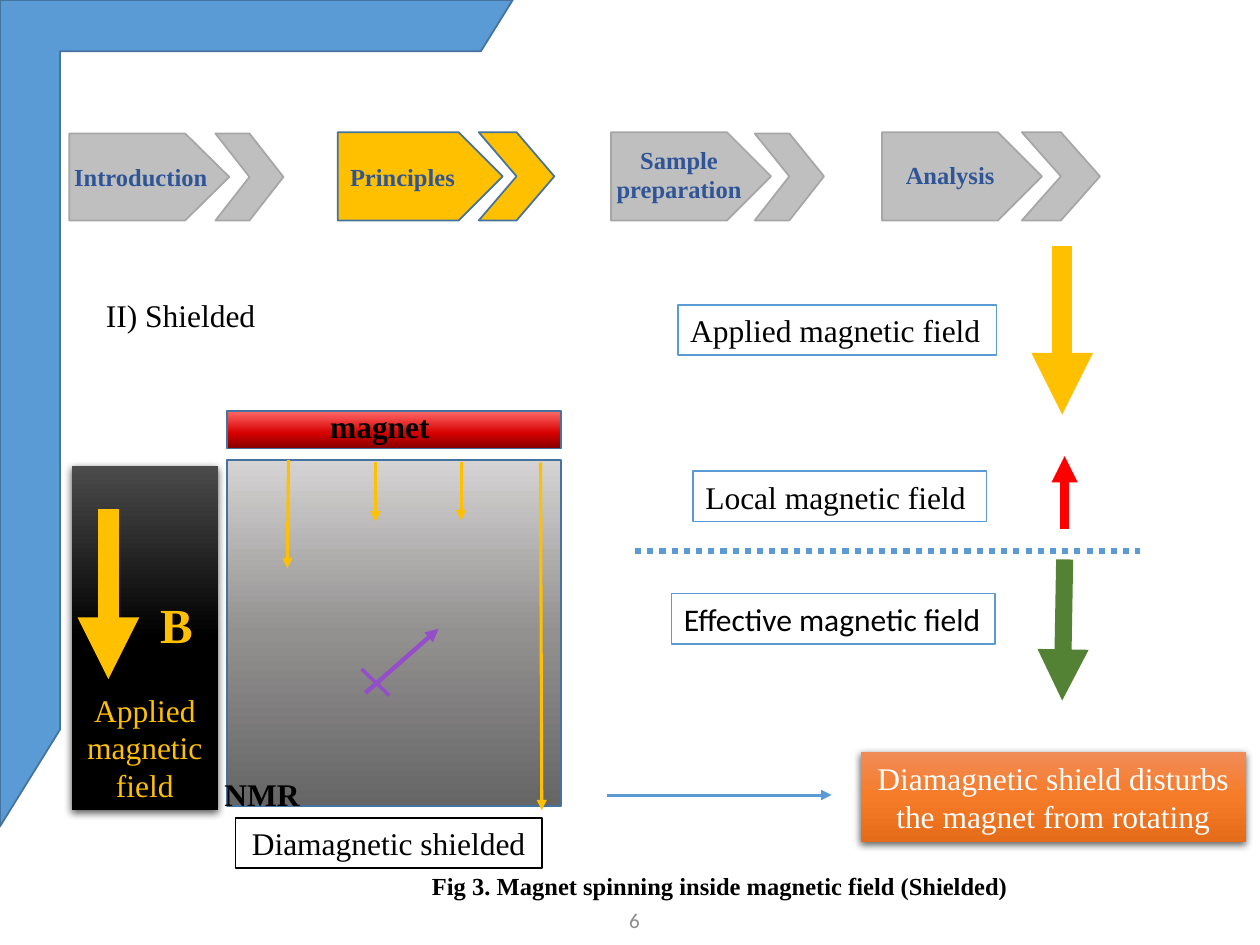
from dataclasses import dataclass

from lxml import etree
from pptx import Presentation
from pptx import util as u
from pptx.dml.color import RGBColor
from pptx.enum import dml, shapes, text
from pptx.oxml.ns import qn

GEOM = shapes.MSO_SHAPE
CENTER, LEFT = text.PP_ALIGN.CENTER, text.PP_ALIGN.LEFT


@dataclass(frozen=True)
class Theme:
    serif: str = "Times New Roman"
    sans: str = "Calibri"
    blue: str = "5B9BD5"
    outline: str = "43739E"
    navy: str = "2F5597"
    gold: str = "FFC000"
    purple: str = "954ECA"
    red: str = "FF0000"
    green: str = "548235"
    black: str = "000000"
    white: str = "FFFFFF"
    step: str = "BFBFBF"
    step_edge: str = "A6A6A6"
    page: str = "8C8C8C"
    magnet: tuple = ((0, "860000"), (41, "D70000"), (100, "FF6B6B"))
    sample: tuple = ((0, "656565"), (50, "939090"), (100, "D5D3D3"))
    night: tuple = ((0, "4B4B4B"), (50, "000000"), (100, "000000"))
    orange: tuple = ((0, "F18C57"), (50, "F67B28"), (100, "E56C19"))
    small: int = 12
    label: int = 14
    body: int = 18
    big: int = 28


def rgb(code):
    return RGBColor.from_string(code)


def add_xml(parent, tag, **attributes):
    return etree.SubElement(parent, qn(tag), attributes)


class SlideBuilder:
    def __init__(self, slide, theme):
        self.slide, self.theme = slide, theme

    def paint(self, shape, fill, line=None, angle=90):
        """Fill with a colour, or with gradient stops running clockwise by angle."""
        shape.shadow.inherit = False
        if isinstance(fill, str):
            shape.fill.solid()
            shape.fill.fore_color.rgb = rgb(fill)
        else:
            shape.fill.gradient()
            shape.fill.gradient_angle = 360 - angle
            stops = shape._element.spPr.find(qn("a:gradFill")).find(qn("a:gsLst"))
            for stop in list(stops):
                stops.remove(stop)
            for position, color in fill:
                stop = add_xml(stops, "a:gs", pos=str(position * 1000))
                add_xml(stop, "a:srgbClr", val=color)
        if line:
            shape.line.color.rgb = rgb(line)
            shape.line.width = u.Pt(1)
        else:
            shape.line.fill.background()

    def cast_shadow(self, shape):
        effects = shape._element.spPr.find(qn("a:effectLst"))
        shadow = add_xml(effects, "a:outerShdw", blurRad=str(u.Pt(4.5)), dist=str(u.Pt(1.5)),
                         dir="5400000", algn="ctr", rotWithShape="0")
        add_xml(add_xml(shadow, "a:srgbClr", val=self.theme.black), "a:alpha", val="63000")

    def shape(self, box, fill, line=None, geometry=GEOM.RECTANGLE, adjust=(), angle=90):
        shape = self.slide.shapes.add_shape(geometry, *map(u.Inches, box))
        for index, value in enumerate(adjust):
            shape.adjustments[index] = value
        self.paint(shape, fill, line, angle)
        return shape

    def frame(self, shape, align, anchor=text.MSO_ANCHOR.MIDDLE):
        """Set margins and return the text frame."""
        frame = shape.text_frame
        frame.word_wrap = True
        frame.auto_size = text.MSO_AUTO_SIZE.NONE
        frame.vertical_anchor = anchor
        frame.margin_left = u.Inches(0.1 if align == LEFT else 0.05)
        frame.margin_right = frame.margin_top = frame.margin_bottom = u.Inches(0.05)
        return frame

    def run(self, paragraph, words, size, color, bold=False, font=None, align=CENTER):
        paragraph.alignment = align
        run = paragraph.add_run()
        run.text = words
        run.font.name = font or self.theme.serif
        run.font.size = u.Pt(size)
        run.font.bold = bold
        run.font.color.rgb = rgb(color)

    def set_words(self, shape, words, size, color, bold=False, font=None, align=CENTER):
        paragraph = self.frame(shape, align).paragraphs[0]
        self.run(paragraph, words, size, color, bold, font, align)

    def label(self, box, words, size, color, **style):
        self.set_words(self.slide.shapes.add_textbox(*map(u.Inches, box)),
                       words, size, color, **style)

    def title(self, box, words):
        title = self.slide.shapes.title
        title.left, title.top, title.width, title.height = map(u.Inches, box)
        self.set_words(title, words, self.theme.body, self.theme.black, align=LEFT)

    def boxed(self, box, words, edge, **style):
        self.set_words(self.shape(box, self.theme.white, edge), words,
                       self.theme.body, self.theme.black, **style)

    def line(self, start, end, color, width, arrow=True, dash=None):
        line = self.slide.shapes.add_connector(
            shapes.MSO_CONNECTOR.STRAIGHT, *map(u.Inches, (*start, *end)))
        line.line.color.rgb = rgb(color)
        line.line.width = u.Pt(width)
        if dash:
            line.line.dash_style = dash
        properties = line._element.spPr
        if arrow:
            add_xml(properties.find(qn("a:ln")), "a:tailEnd", type="triangle")
        add_xml(properties, "a:effectLst")

    def steps(self, starts, bottom):
        """Draw the inactive steps as one outline; starts gives plate left, chevron
        left, chevron width, plate top and chevron top."""
        contours = []
        for plate, chevron, width, plate_top, chevron_top in starts:
            half, shoulder, tip = width / 2, plate + 0.92, plate + 1.27
            middle = (plate_top + bottom) / 2
            contours.append([(plate, plate_top), (shoulder, plate_top), (tip, middle),
                             (shoulder, bottom), (plate, bottom)])
            contours.append([(chevron, chevron_top), (chevron + half, chevron_top),
                             (chevron + width, middle), (chevron + half, bottom),
                             (chevron, bottom), (chevron + half, middle)])
        contours = [[(u.Inches(x), u.Inches(y)) for x, y in points] for points in contours]
        builder = self.slide.shapes.build_freeform(*contours[0][0])
        for index, points in enumerate(contours):
            if index:
                builder.move_to(*points[0])
            builder.add_line_segments(points[1:], close=True)
        self.paint(builder.convert_to_shape(), self.theme.step, self.theme.step_edge)


def main():
    deck = Presentation()
    deck.slide_width, deck.slide_height = u.Inches(10), u.Inches(7.5)
    t = Theme()
    s = SlideBuilder(deck.slides.add_slide(deck.slide_layouts[5]), t)

    # Progress bar
    s.steps([(0.55, 1.71, 0.54, 1.06, 1.06), (4.85, 5.99, 0.55, 1.05, 1.06),
             (7, 8.11, 0.62, 1.05, 1.05)], bottom=1.75)
    s.shape((2.68, 1.05, 1.31, 0.7), t.gold, t.outline, GEOM.PENTAGON)
    s.shape((3.8, 1.05, 0.6, 0.7), t.gold, t.outline, GEOM.CHEVRON)
    s.shape((0, 0, 4.07, 6.56), t.blue, t.outline, GEOM.HALF_FRAME, (0.1, 0.117))
    for box, name, align in [((0.49, 1.23, 1.26, 0.34), "Introduction", LEFT),
                             ((2.64, 1.23, 1.11, 0.34), "Principles", CENTER),
                             ((4.79, 1.1, 1.2, 0.57), "Sample preparation", CENTER),
                             ((7.09, 1.22, 1.15, 0.34), "Analysis", LEFT)]:
        s.label(box, name, t.label, t.navy, bold=True, align=align)
    s.title((0.74, 2.3, 2.92, 0.4), "II) Shielded")
    s.label((3.91, 7.1, 2.25, 0.4), "6", t.small, t.page, font=t.sans)

    # Magnet above the sample
    s.shape((1.8, 3.26, 2.65, 0.3), t.magnet, t.outline, angle=270)
    s.shape((1.8, 3.65, 2.65, 2.75), t.sample, t.outline, angle=270)
    s.label((2.34, 3.18, 1.35, 0.4), "magnet", t.body, t.black, bold=True)
    s.line((2.9, 5.5), (3.48, 4.99), t.purple, 2.5)
    s.line((2.87, 5.31), (3.09, 5.52), t.purple, 2, arrow=False)
    for start, end in [((2.29, 3.65), (2.28, 4.51)), ((2.98, 3.67), (2.98, 4.14)),
                       ((3.66, 3.67), (3.66, 4.13)), ((4.29, 3.67), (4.3, 6.43))]:
        s.line(start, end, t.gold, 1.75)
    s.label((1.68, 6.1, 0.8, 0.4), "NMR", t.body, t.black, bold=True)
    s.boxed((1.87, 6.49, 2.43, 0.4), "Diamagnetic shielded", t.black)

    # Conclusion and caption
    s.line((4.82, 6.31), (6.6, 6.31), t.blue, 1.75)
    conclusion = s.shape((6.83, 5.97, 3.06, 0.71), t.orange)
    s.cast_shadow(conclusion)
    s.set_words(conclusion, "Diamagnetic shield disturbs the magnet from rotating",
                t.body, t.white)
    s.label((3.33, 6.86, 5.01, 0.34), "Fig 3. Magnet spinning inside magnetic field (Shielded)",
            t.label, t.black, bold=True, align=LEFT)

    # Sum of the fields
    s.boxed((5.38, 2.42, 2.53, 0.4), "Applied magnetic field", t.blue, align=LEFT)
    s.boxed((5.5, 3.74, 2.33, 0.4), "Local magnetic field", t.blue, align=LEFT)
    s.boxed((5.33, 4.71, 2.57, 0.4), "Effective magnetic field", t.blue, align=LEFT, font=t.sans)
    s.line((8.43, 1.95), (8.43, 3.29), t.gold, 11.75)
    s.line((8.45, 4.2), (8.45, 3.62), t.red, 5)
    s.line((5.04, 4.37), (9.05, 4.37), t.blue, 3.5, arrow=False, dash=dml.MSO_LINE.ROUND_DOT)
    s.line((8.45, 4.44), (8.43, 5.56), t.green, 9.75)

    # Applied field panel
    panel = s.shape((0.57, 3.7, 1.16, 2.73), t.night)
    s.cast_shadow(panel)
    frame = s.frame(panel, CENTER, text.MSO_ANCHOR.BOTTOM)
    symbol, caption = frame.paragraphs[0], frame.add_paragraph()
    symbol._p.get_or_add_pPr().set("marL", str(u.Inches(0.5)))
    s.run(symbol, "B", t.big, t.gold, bold=True)
    caption.space_before = u.Pt(21)
    s.run(caption, "Applied magnetic field", t.body, t.gold)
    s.line((0.86, 4.04), (0.86, 5.39), t.gold, 11.75)

    deck.save("out.pptx")


if __name__ == "__main__":
    main()
